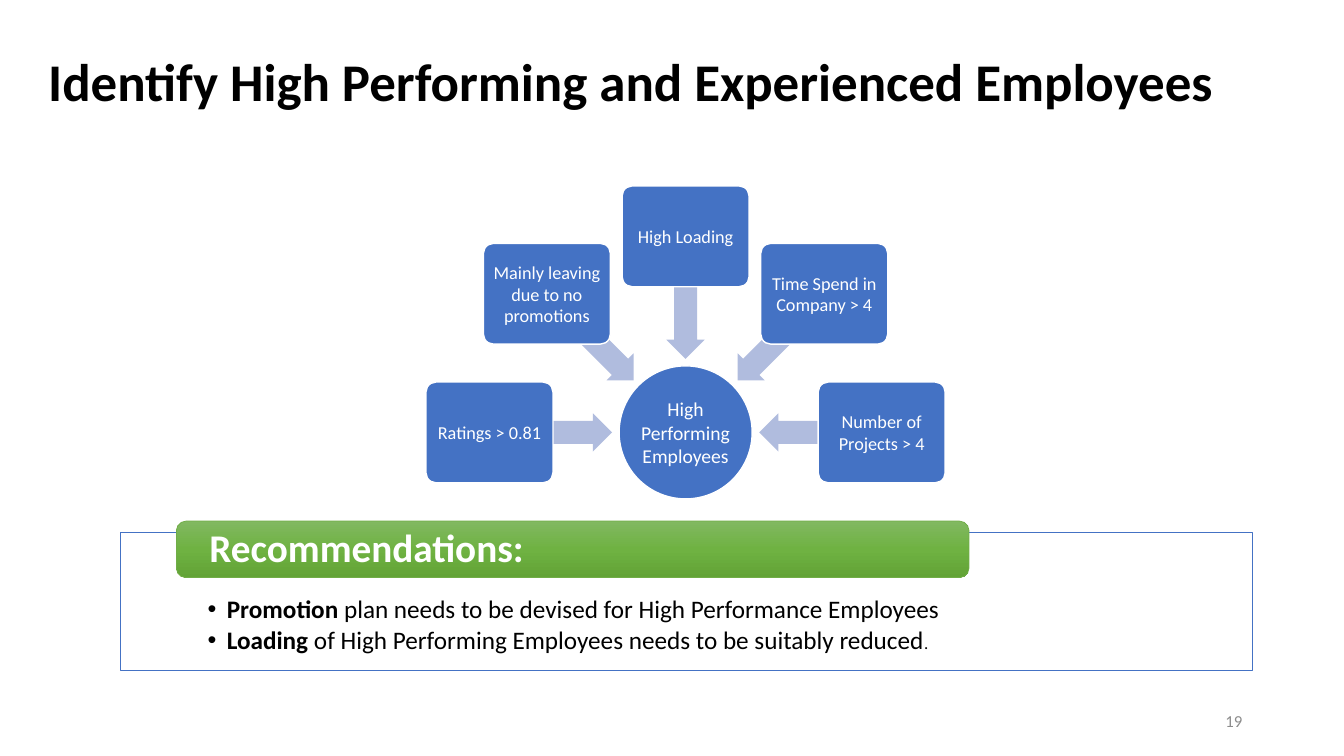
from copy import deepcopy
from math import cos, radians, sin

from lxml.etree import SubElement
from pptx import Presentation
from pptx.dml.color import RGBColor
from pptx.enum.shapes import MSO_SHAPE
from pptx.enum.text import MSO_ANCHOR, PP_ALIGN
from pptx.oxml.ns import qn
from pptx.util import Inches, Pt

COLORS = {
    "black": "000000", "white": "FFFFFF", "blue": "4472C4", "pale": "B0BCDE",
    "green": "70AD47", "grey": "8C8C8C",
}
BANNER_STOPS = [(0, "81B861"), (0.5, "6FB242"), (1, "62A336")]
FACTORS = [
    "Ratings > 0.81", "Mainly leaving due to no promotions", "High Loading",
    "Time Spend in Company > 4", "Number of Projects > 4",
]
RECOMMENDATIONS = [
    [("Promotion", True, 18),
     (" plan needs to be devised for High Performance Employees", False, 18)],
    [("Loading", True, 18),
     (" of High Performing Employees needs to be suitably reduced", False, 18),
     (".", False, 12)],
]


def rgb(name):
    return RGBColor.from_string(COLORS[name])


def set_frame(shape, insets, anchor):
    """Set wrapping, anchor and insets (left, top, right, bottom)."""
    frame = shape.text_frame
    frame.word_wrap = True
    frame.vertical_anchor = anchor
    for side, inset in zip(("left", "top", "right", "bottom"), insets):
        setattr(frame, f"margin_{side}", Inches(inset))
    return frame


def add_span(para, text, size, color, bold=False):
    span = para.add_run()
    span.text = text
    for name, value in {"name": "Calibri", "size": Pt(size), "bold": bold}.items():
        setattr(span.font, name, value)
    span.font.color.rgb = rgb(color)


def write(shape, text, size, color, insets, anchor=MSO_ANCHOR.MIDDLE, bold=False, **layout):
    """Write one paragraph; layout holds paragraph attributes."""
    para = set_frame(shape, insets, anchor).paragraphs[0]
    for name, value in layout.items():
        setattr(para, name, value)
    add_span(para, text, size, color, bold)


def add_shape(slide, kind, box, fill, line=None, width=1):
    shape = slide.shapes.add_shape(kind, *map(Inches, box))
    shape.shadow.inherit = False
    shape.fill.solid()
    shape.fill.fore_color.rgb = rgb(fill)
    if line:
        shape.line.color.rgb = rgb(line)
        shape.line.width = Pt(width)
    else:
        shape.line.fill.background()
    return shape


def add_text(slide, box, *args, **layout):
    write(slide.shapes.add_textbox(*map(Inches, box)), *args, **layout)


def centred(x, y, width, height):
    return x - width / 2, y - height / 2, width, height


def add_factor_wheel(slide, x, y, radius):
    """Place a hub at x, y with the factors on a half circle pointing at it."""
    hub = add_shape(slide, MSO_SHAPE.OVAL, centred(x, y, 1.32, 1.32), "blue", "white")
    write(hub, "High Performing Employees", 14, "white", [0.01] * 4,
          alignment=PP_ALIGN.CENTER)
    step = 180 / (len(FACTORS) - 1)
    for index, factor in enumerate(FACTORS):
        angle = 180 + index * step
        across, down = cos(radians(angle)), sin(radians(angle))
        reach = radius - 0.61
        arrow = add_shape(slide, MSO_SHAPE.LEFT_ARROW,
                          centred(x + reach * across, y + reach * down, 1.21, 0.38), "pale")
        arrow.rotation = angle % 360
        arrow.adjustments[0] = 0.6
        card = add_shape(slide, MSO_SHAPE.ROUNDED_RECTANGLE,
                         centred(x + radius * across, y + radius * down, 1.26, 1),
                         "blue", "white")
        card.adjustments[0] = 0.1
        write(card, factor, 13, "white", [0.03] * 4, alignment=PP_ALIGN.CENTER)


def fill_gradient(shape, stops):
    """Fill from top to bottom with (position, colour) stops."""
    shape.fill.gradient()
    shape.fill.gradient_angle = 270
    stop_list = shape.fill._fill._gradFill.find(qn("a:gsLst"))
    while len(stop_list) < len(stops):
        stop_list.append(deepcopy(stop_list[0]))
    for stop, (position, color) in zip(shape.fill.gradient_stops, stops):
        stop.position = position
        stop.color.rgb = RGBColor.from_string(color)


def add_bullet(para, indent):
    properties = para._p.get_or_add_pPr()
    properties.set("marL", str(Inches(indent)))
    properties.set("indent", str(-Inches(indent)))
    SubElement(properties, qn("a:buFont"), typeface="Arial")
    SubElement(properties, qn("a:buChar"), char="•")


def add_recommendations(slide, left, top, width, height):
    panel = add_shape(slide, MSO_SHAPE.RECTANGLE, (left, top, width, height),
                      "white", "blue", 0.5)
    frame = set_frame(panel, (0.87, 0.64, 0.87, 0.14), MSO_ANCHOR.TOP)
    for index, spans in enumerate(RECOMMENDATIONS):
        para = frame.add_paragraph() if index else frame.paragraphs[0]
        para.alignment = PP_ALIGN.LEFT
        para.line_spacing = 0.9
        para.space_after = Pt(2.7)
        add_bullet(para, 0.19)
        for text, bold, size in spans:
            add_span(para, text, size, "black", bold)
    banner = add_shape(slide, MSO_SHAPE.ROUNDED_RECTANGLE,
                       (left + 0.56, top - 0.11, width * 0.7, 0.56), "green", "green", 0.5)
    fill_gradient(banner, BANNER_STOPS)
    write(banner, "Recommendations:", 28, "white", (0.3, 0, 0.3, 0), bold=True,
          alignment=PP_ALIGN.LEFT, line_spacing=0.9)


def main():
    deck = Presentation()
    deck.slide_width, deck.slide_height = Inches(13.33), Inches(7.5)
    slide = deck.slides.add_slide(deck.slide_layouts[6])
    add_text(slide, (0.38, 0.4, 12.39, 1.45),
             "Identify High Performing and Experienced Employees", 37.8, "black",
             (0.1, 0.15, 0.1, 0.05), MSO_ANCHOR.TOP, bold=True, line_spacing=0.9)
    add_recommendations(slide, 1.19, 5.28, 11.23, 1.37)
    add_factor_wheel(slide, 6.8, 4.29, 1.945)
    add_text(slide, (9.42, 6.95, 3, 0.4), "19", 12, "grey", (0.1, 0.05, 0.1, 0.05),
             alignment=PP_ALIGN.RIGHT)
    deck.save("out.pptx")


if __name__ == "__main__":
    main()
